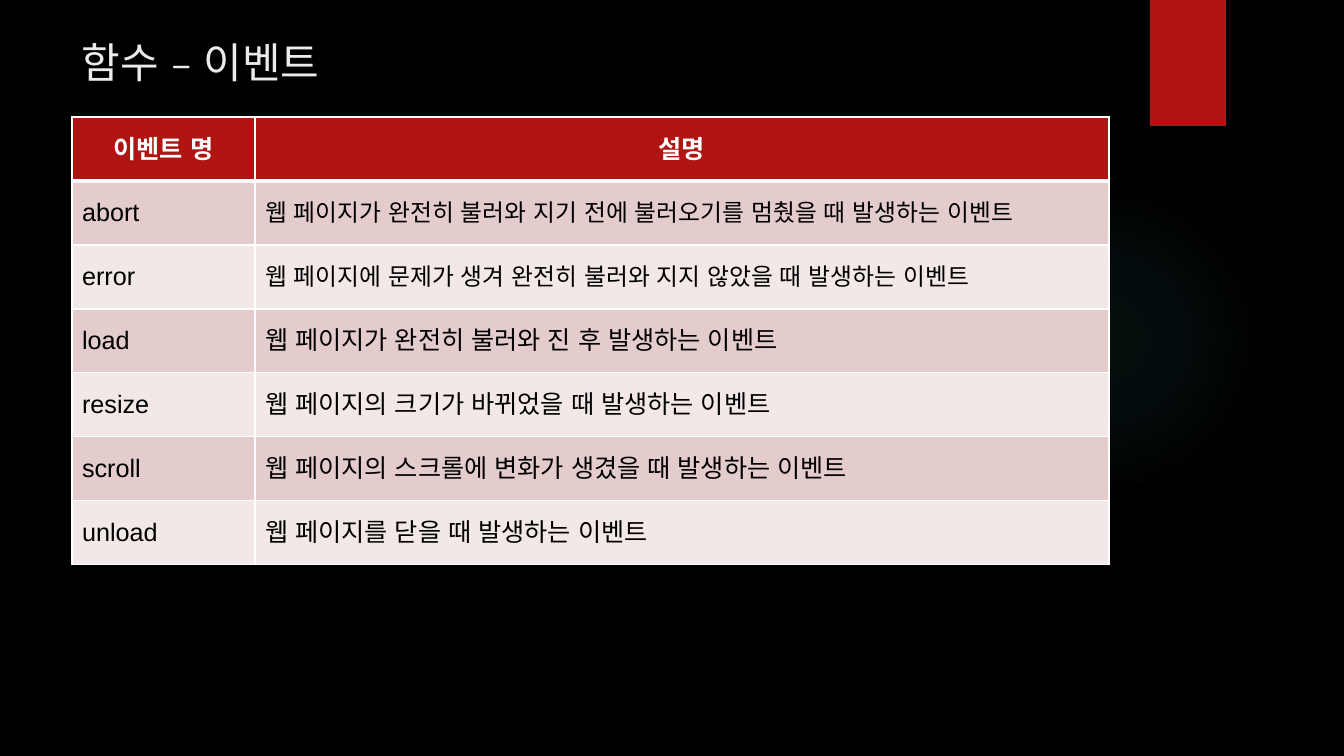
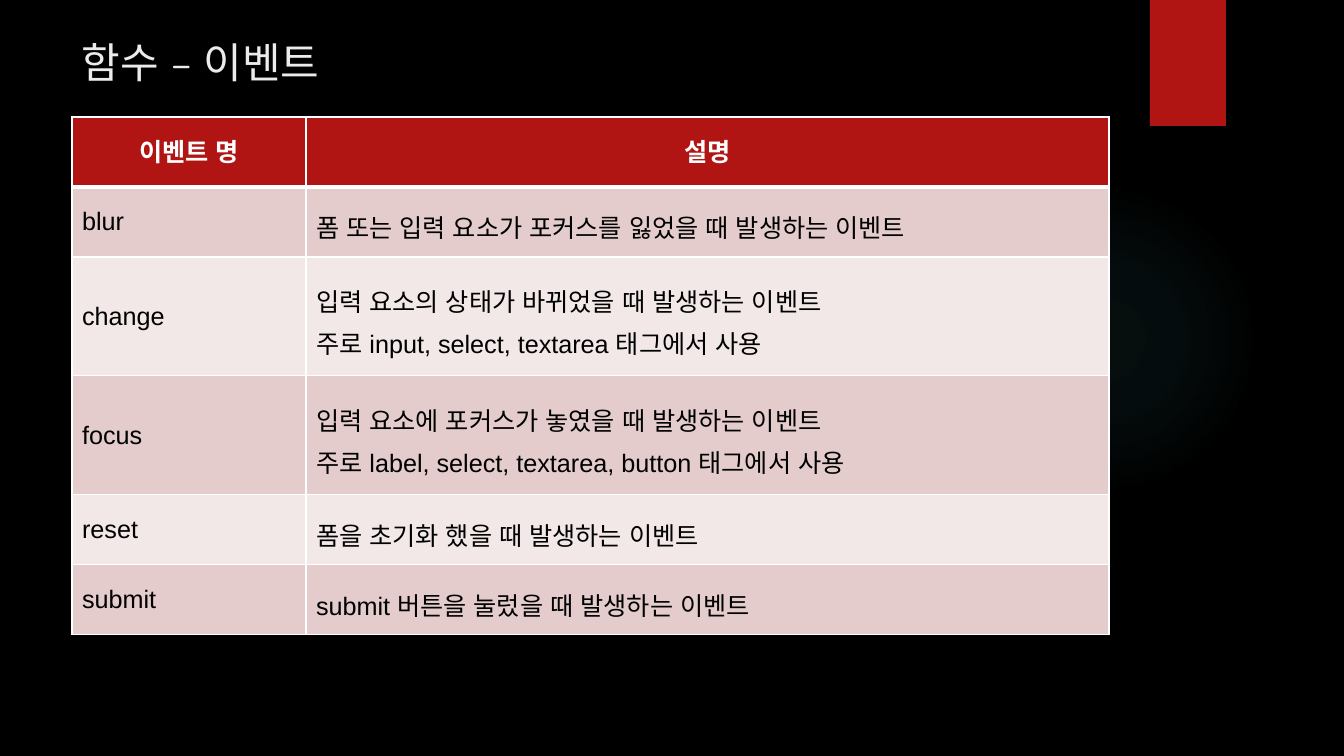
import pptx
import pptx.dml.color
import pptx.enum.shapes
import pptx.enum.text
import pptx.oxml
import pptx.oxml.ns
import pptx.util

RGB = pptx.dml.color.RGBColor
SHAPE = pptx.enum.shapes.MSO_SHAPE
ALIGN = pptx.enum.text.PP_ALIGN
ANCHOR = pptx.enum.text.MSO_ANCHOR

# Colours and fonts
BLACK = RGB(0x00, 0x00, 0x00)
WHITE = RGB(0xFF, 0xFF, 0xFF)
RED = RGB(0xB0, 0x15, 0x13)
TITLE_GREY = RGB(0xEB, 0xEB, 0xEB)
TEAL = RGB(0x50, 0xB9, 0xC1)
BANDS = (RGB(0xE4, 0xCC, 0xCC), RGB(0xF2, 0xE8, 0xE7))
HEAD_FONT, BODY_FONT = "Quicksand", "Arial"

# Lengths in px
WIDTH, HEIGHT = 1344, 756
LEFT, CONTENT_W = 72, 1037
TITLE_TOP, TITLE_H = 32, 85
TABLE_TOP = TITLE_TOP + TITLE_H
EMU_PER_PX = 12192000 / WIDTH


def px(n):
    return pptx.util.Emu(round(n * EMU_PER_PX))


class Deck:
    """Holds the shared style and the current slide."""

    def __init__(self):
        self.prs = pptx.Presentation()
        self.prs.slide_width, self.prs.slide_height = px(WIDTH), px(HEIGHT)
        fill = self.prs.slide_master.background.fill
        fill.solid()
        fill.fore_color.rgb = BLACK

    def slide(self, title):
        self.s = self.prs.slides.add_slide(self.prs.slide_layouts[6])
        self.glow(949, 184, 310)
        self.box(SHAPE.RECTANGLE, 1150, 0, 76, 126, RED)
        self.title(title)

    def box(self, kind, x, y, w, h, color):
        sp = self.s.shapes.add_shape(kind, px(x), px(y), px(w), px(h))
        sp.shadow.inherit = False
        sp.fill.solid()
        sp.fill.fore_color.rgb = color
        sp.line.fill.background()
        return sp

    def glow(self, x, y, size):
        sp = self.box(SHAPE.OVAL, x, y, size, size, TEAL)
        stops = "".join(
            f'<a:gs pos="{pos}000"><a:srgbClr val="{TEAL}">'
            f'<a:alpha val="{alpha}000"/></a:srgbClr></a:gs>'
            for pos, alpha in ((0, 7), (36, 6), (69, 0)))
        grad = pptx.oxml.parse_xml(
            f'<a:gradFill {pptx.oxml.ns.nsdecls("a")}><a:gsLst>{stops}</a:gsLst>'
            '<a:path path="circle"><a:fillToRect l="50000" t="50000" '
            'r="50000" b="50000"/></a:path></a:gradFill>')
        solid = sp.element.spPr.find(pptx.oxml.ns.qn("a:solidFill"))
        sp.element.spPr.replace(solid, grad)

    def run(self, p, text, size, font, color, bold=False):
        r = p.add_run()
        r.text = text
        r.font.size = pptx.util.Pt(size)
        r.font.name = font
        r.font.bold = bold
        r.font.color.rgb = color
        # Hangul and its spaces follow the East Asian font
        latin = r.font._element.find(pptx.oxml.ns.qn("a:latin"))
        latin.addnext(pptx.oxml.parse_xml(
            f'<a:ea {pptx.oxml.ns.nsdecls("a")} typeface="{font}"/>'))

    def title(self, text):
        sp = self.s.shapes.add_textbox(px(LEFT), px(TITLE_TOP), px(CONTENT_W), px(TITLE_H))
        tf = sp.text_frame
        tf.word_wrap = True
        tf.vertical_anchor = ANCHOR.TOP
        self.run(tf.paragraphs[0], text, 30, HEAD_FONT, TITLE_GREY)

    def borders(self, cell, top=1, bottom=1):
        tcPr = cell._tc.get_or_add_tcPr()
        for side, width in (("L", 1), ("R", 1), ("T", top), ("B", bottom)):
            tcPr.append(pptx.oxml.parse_xml(
                f'<a:ln{side} {pptx.oxml.ns.nsdecls("a")} w="{pptx.util.Pt(width)}">'
                f'<a:solidFill><a:srgbClr val="{WHITE}"/></a:solidFill></a:ln{side}>'))

    def cell(self, cell, lines, row, size=18, spacing=None):
        head = row == 0
        self.borders(cell, top=3 if row == 1 else 1, bottom=3 if head else 1)
        cell.fill.solid()
        cell.fill.fore_color.rgb = RED if head else BANDS[(row - 1) % 2]
        cell.vertical_anchor = ANCHOR.MIDDLE
        p = cell.text_frame.paragraphs[0]
        p.alignment = ALIGN.CENTER if head else ALIGN.LEFT
        if spacing:
            p.line_spacing = spacing
        for i, line in enumerate(lines):
            if i:
                p.add_line_break()
            self.run(p, line, size, HEAD_FONT if head else BODY_FONT,
                     WHITE if head else BLACK, head)

    def table(self, name_w, heights, events, spacing=None, small_rows=()):
        rows = [("이벤트 명", ["설명"])] + events
        tbl = self.s.shapes.add_table(len(rows), 2, px(LEFT), px(TABLE_TOP),
                                      px(CONTENT_W), px(sum(heights))).table
        for col, w in zip(tbl.columns, (name_w, CONTENT_W - name_w)):
            col.width = px(w)
        for i, (name, lines) in enumerate(rows):
            tbl.rows[i].height = px(heights[i])
            self.cell(tbl.cell(i, 0), [name], i)
            self.cell(tbl.cell(i, 1), lines, i, 17 if i in small_rows else 18,
                      spacing if i else None)


# Slide contents
TITLE = "함수 – 이벤트"
PAGE_EVENTS = [
    ("abort", ["웹 페이지가 완전히 불러와 지기 전에 불러오기를 멈췄을 때 발생하는 이벤트"]),
    ("error", ["웹 페이지에 문제가 생겨 완전히 불러와 지지 않았을 때 발생하는 이벤트"]),
    ("load", ["웹 페이지가 완전히 불러와 진 후 발생하는 이벤트"]),
    ("resize", ["웹 페이지의 크기가 바뀌었을 때 발생하는 이벤트"]),
    ("scroll", ["웹 페이지의 스크롤에 변화가 생겼을 때 발생하는 이벤트"]),
    ("unload", ["웹 페이지를 닫을 때 발생하는 이벤트"]),
]
FORM_EVENTS = [
    ("blur", ["폼 또는 입력 요소가 포커스를 잃었을 때 발생하는 이벤트"]),
    ("change", ["입력 요소의 상태가 바뀌었을 때 발생하는 이벤트",
                "주로 input, select, textarea 태그에서 사용"]),
    ("focus", ["입력 요소에 포커스가 놓였을 때 발생하는 이벤트",
               "주로 label, select, textarea, button 태그에서 사용"]),
    ("reset", ["폼을 초기화 했을 때 발생하는 이벤트"]),
    ("submit", ["submit 버튼을 눌렀을 때 발생하는 이벤트"]),
]


def main():
    deck = Deck()

    # Page events
    deck.slide(TITLE)
    deck.table(183, [64] * 7, PAGE_EVENTS, small_rows=(1, 2))

    # Form events, with taller rows for two lines of text
    deck.slide(TITLE)
    deck.table(234, [70, 70, 119, 119, 70, 70], FORM_EVENTS, spacing=1.5)

    deck.prs.save("out.pptx")


if __name__ == "__main__":
    main()
